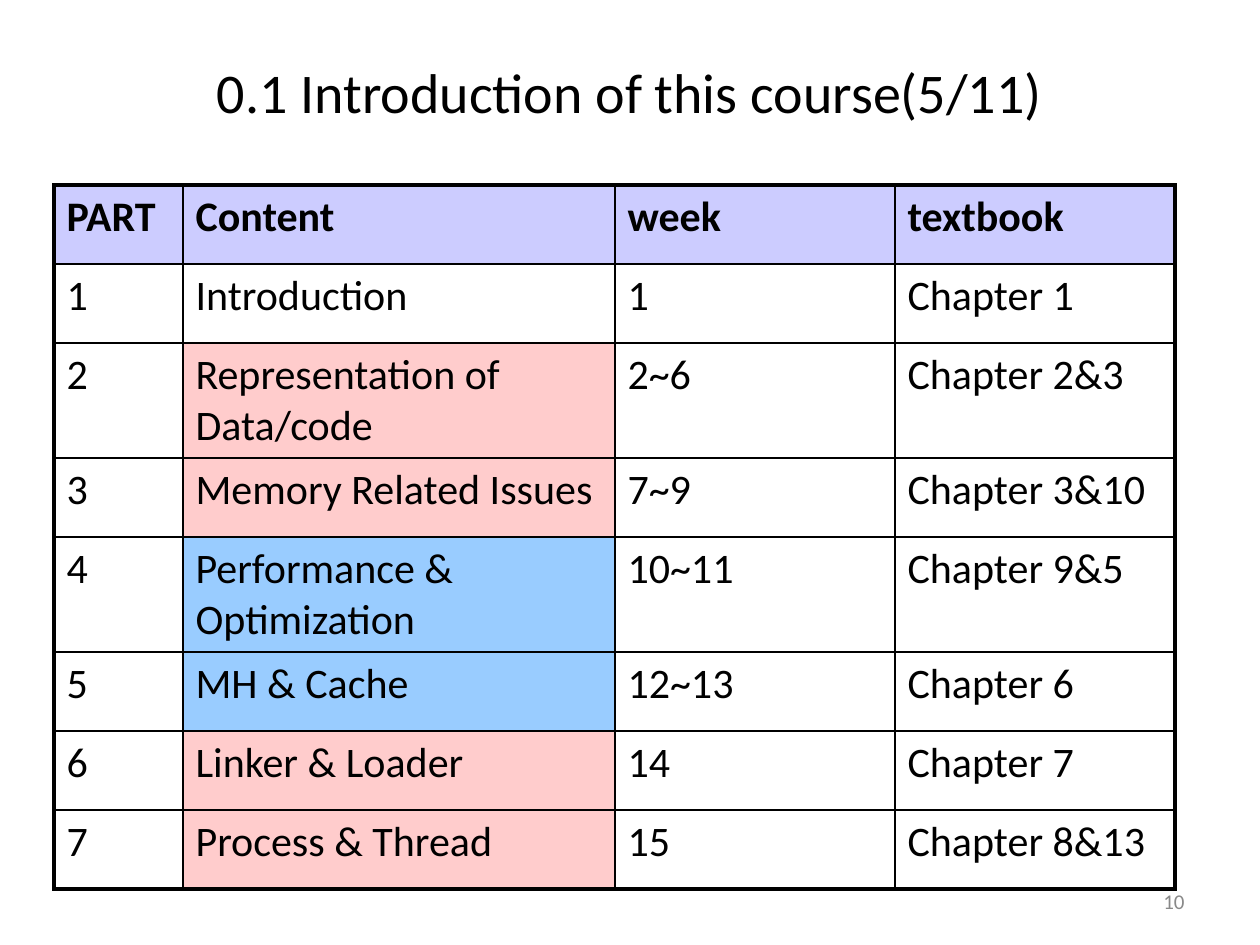
from lxml.etree import SubElement as Sub
from pptx import Presentation
from pptx.dml.color import RGBColor
from pptx.enum.text import MSO_ANCHOR as Anchor, PP_ALIGN as Align
from pptx.oxml.ns import qn
from pptx.util import Emu, Pt

SCALE = 914400 / 126
BLACK = RGBColor(0x00, 0x00, 0x00)
GRAY = RGBColor(0x89, 0x89, 0x89)
LILAC = RGBColor(0xCC, 0xCC, 0xFF)
PINK = RGBColor(0xFF, 0xCC, 0xCC)
BLUE = RGBColor(0x99, 0xCC, 0xFF)
THIN, THICK = Pt(1), Pt(2.25)


def px(count):
    return Emu(round(count * SCALE))


def write(frame, text, size, color, bold=False):
    para = frame.paragraphs[0]
    run = para.add_run()
    run.text = text
    style = {"name": "Calibri", "size": Pt(size), "bold": bold}
    for key, value in style.items():
        setattr(run.font, key, value)
    run.font.color.rgb = color
    return para


deck = Presentation()
deck.slide_width, deck.slide_height = px(1260), px(945)
slide = deck.slides.add_slide(deck.slide_layouts[6])

labels = [
    ("10", (903, 876, 294, 50), 12, GRAY, Align.RIGHT),
    ("0.1 Introduction of this course(5/11)", (0, 38, 1260, 107), 32, BLACK, Align.CENTER),
]
for text, place, size, color, align in labels:
    frame = slide.shapes.add_textbox(*map(px, place)).text_frame
    frame.word_wrap = True
    frame.vertical_anchor = Anchor.MIDDLE
    write(frame, text, size, color).alignment = align

rows = [
    ("PART", "Content", "week", "textbook"),
    ("1", "Introduction", "1", "Chapter 1"),
    ("2", "Representation of Data/code", "2~6", "Chapter 2&3"),
    ("3", "Memory Related Issues", "7~9", "Chapter 3&10"),
    ("4", "Performance & Optimization", "10~11", "Chapter 9&5"),
    ("5", "MH & Cache", "12~13", "Chapter 6"),
    ("6", "Linker & Loader", "14", "Chapter 7"),
    ("7", "Process & Thread", "15", "Chapter 8&13"),
]
fills = [LILAC, None, PINK, PINK, BLUE, BLUE, PINK, PINK]
widths = [129, 432, 280, 280]
heights = [79, 79, 115, 79, 115, 79, 79, 79]

table = slide.shapes.add_table(
    len(rows), len(widths), px(54), px(185), px(sum(widths)), px(sum(heights))
).table
table.first_row = table.horz_banding = False
for column, width in zip(table.columns, widths):
    column.width = px(width)
for line, height in zip(table.rows, heights):
    line.height = px(height)

for r, (texts, tint) in enumerate(zip(rows, fills)):
    for c, text in enumerate(texts):
        cell = table.cell(r, c)
        para = write(cell.text_frame, text, 24, BLACK, r == 0)
        space = Sub(para._p.get_or_add_pPr(), qn("a:spcBef"))
        Sub(space, qn("a:spcPct"), val="20000")
        props = cell._tc.get_or_add_tcPr()
        edges = {
            "L": c == 0,
            "R": c == len(widths) - 1,
            "T": r == 0,
            "B": r == len(rows) - 1,
        }
        for side, outer in edges.items():
            edge = Sub(props, qn("a:ln" + side), w=str(THICK if outer else THIN))
            Sub(Sub(edge, qn("a:solidFill")), qn("a:srgbClr"), val=str(BLACK))
        if tint and (r == 0 or c == 1):
            cell.fill.solid()
            cell.fill.fore_color.rgb = tint
        else:
            cell.fill.background()

deck.save("out.pptx")
